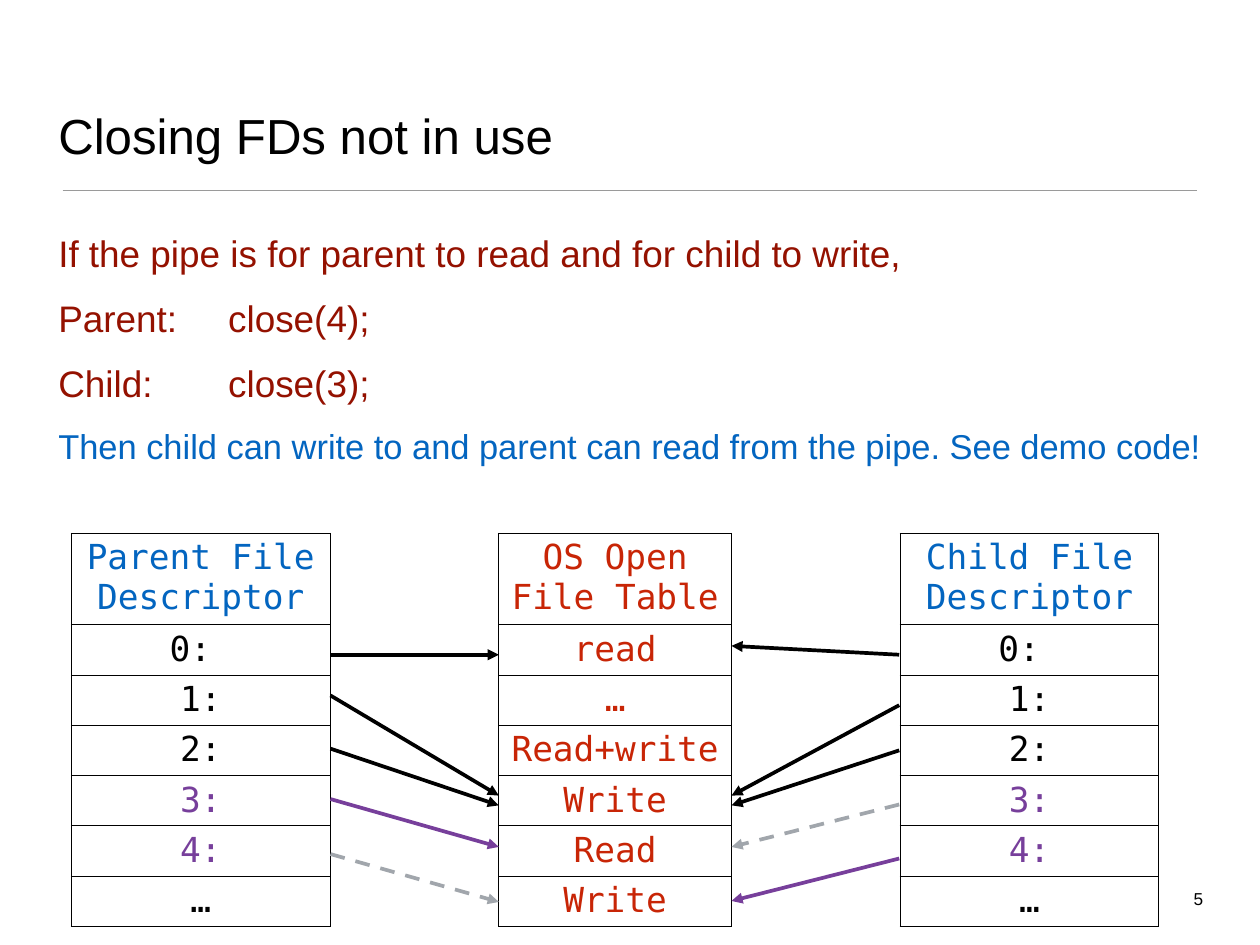
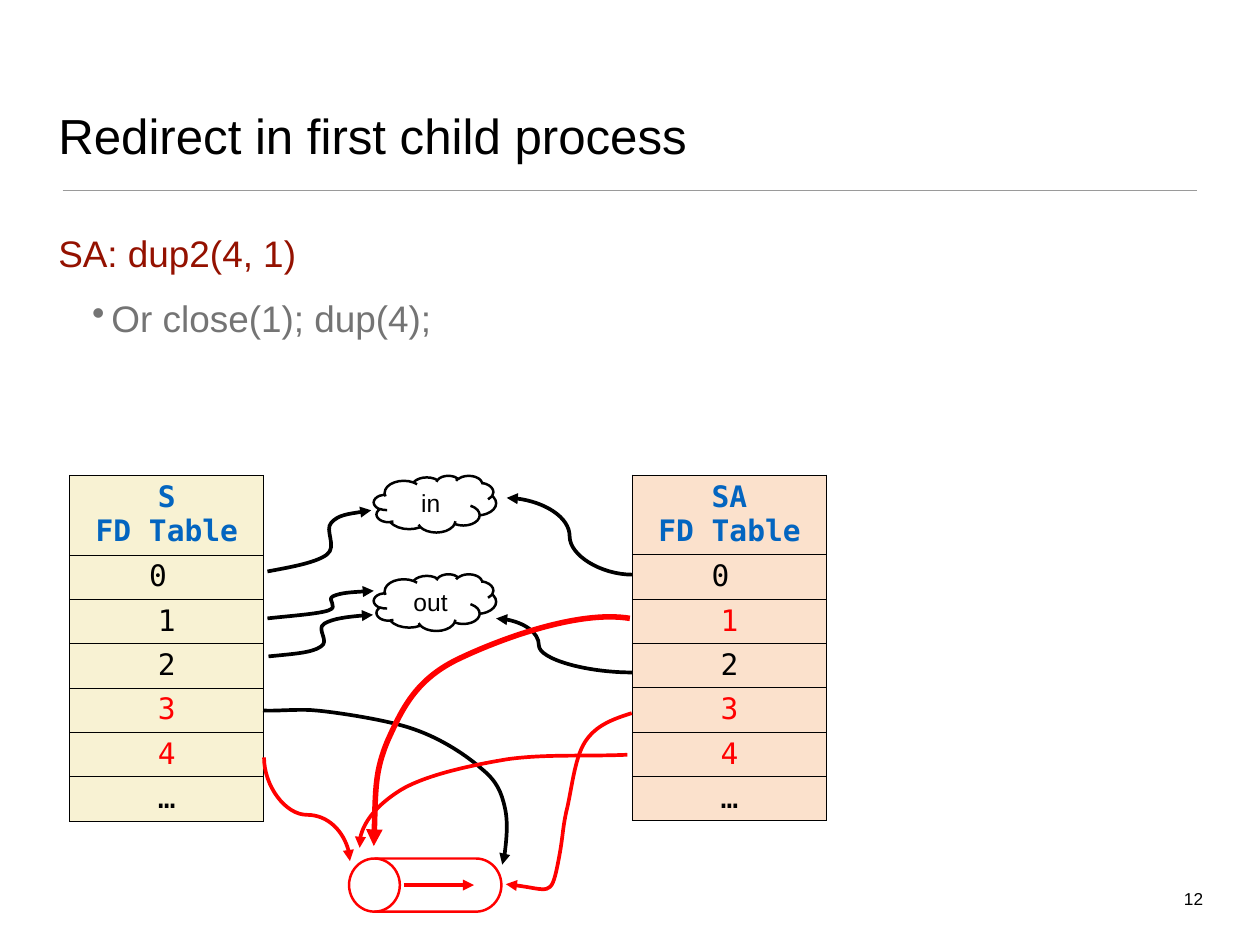
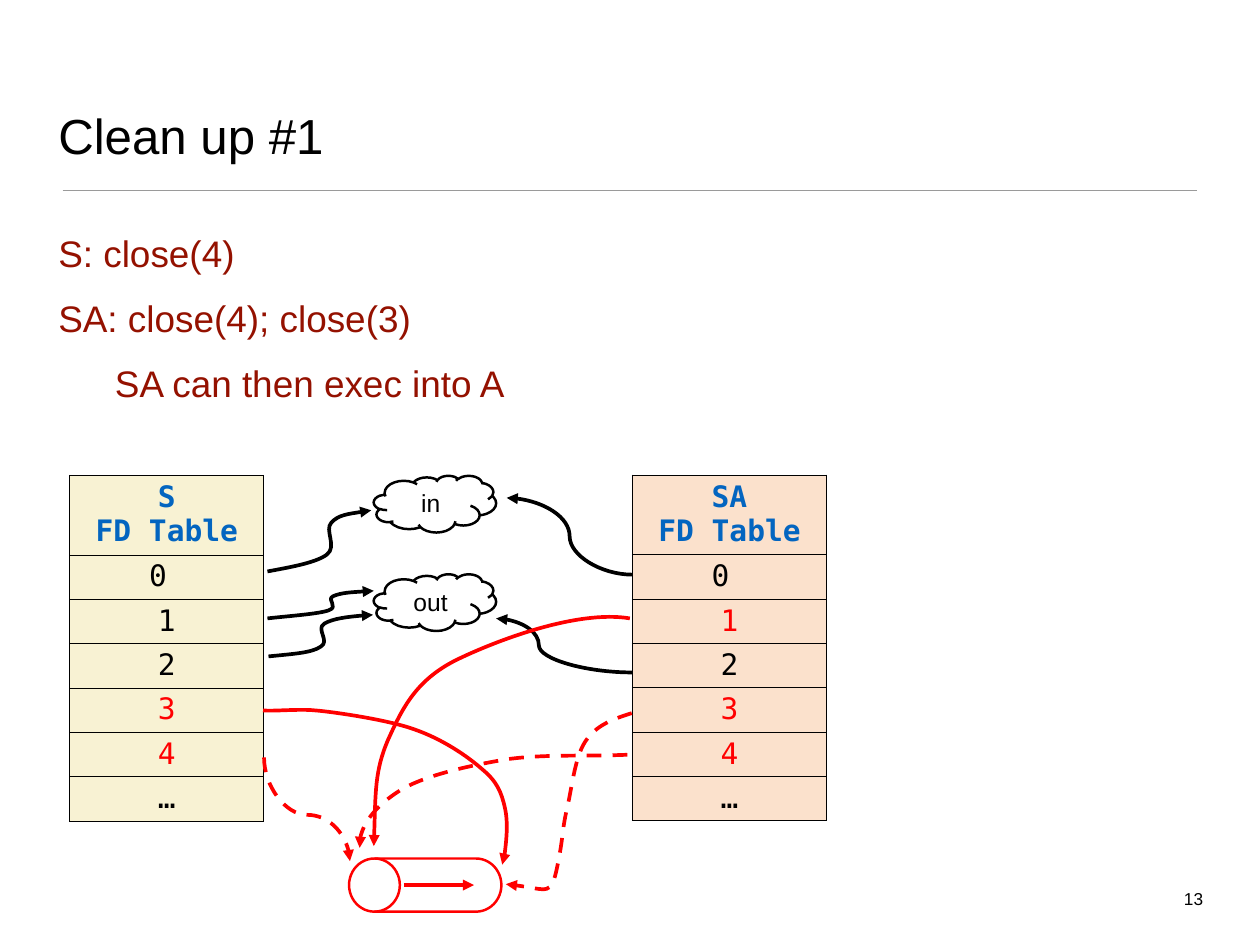
from lxml.etree import SubElement
from pptx import Presentation
from pptx.dml.color import RGBColor
from pptx.enum.dml import MSO_LINE
from pptx.enum.shapes import MSO_CONNECTOR, MSO_SHAPE
from pptx.enum.text import MSO_ANCHOR, PP_ALIGN
from pptx.oxml.ns import qn
from pptx.util import Pt

BLACK = RGBColor(0x00, 0x00, 0x00)
RED = RGBColor(0xFF, 0x00, 0x00)
MAROON = RGBColor(0x94, 0x11, 0x00)
BRICK = RGBColor(0xC8, 0x25, 0x06)
BLUE = RGBColor(0x03, 0x65, 0xC0)
PURPLE = RGBColor(0x77, 0x3F, 0x9B)
DARK_GRAY = RGBColor(0x74, 0x74, 0x74)
RULE_GRAY = RGBColor(0x9A, 0x9A, 0x9A)
PALE_GRAY = RGBColor(0xA1, 0xA6, 0xAC)
CREAM = RGBColor(0xF8, 0xF2, 0xD3)
PEACH = RGBColor(0xFB, 0xE1, 0xCC)

SANS = "Arial"
MONO = "DejaVu Sans Mono"
MARGIN = 2.81
TAB = 46
ELLIPSIS = "\u2026"


def set_format(target, values):
    """Set each named attribute of the target."""
    for name, value in values.items():
        setattr(target, name, value)


class Deck:
    """Holds the shared style and the slide being built."""

    def __init__(self):
        """Start an empty presentation."""
        self.presentation = Presentation()
        set_format(self.presentation, {"slide_width": Pt(1024), "slide_height": Pt(768)})
        self.slide = None

    def start(self, title, number):
        """Add a slide with its title, rule and number."""
        self.slide = self.presentation.slides.add_slide(self.presentation.slide_layouts[6])
        self.connector((51, 154.8), (972.8, 154.8), RULE_GRAY, 1, arrow=False)
        frame = self.text_box(44.6, 26, 935, 110, MSO_ANCHOR.BOTTOM)
        self.add_text(frame.paragraphs[0], title, 40)
        frame = self.text_box(958.3, 719.3, 22.3, 21.6)
        self.add_text(frame.paragraphs[0], str(number), 14, align=PP_ALIGN.RIGHT)

    def add_text(self, paragraph, text, size, color=BLACK, name=SANS, bold=False,
                 align=PP_ALIGN.LEFT):
        """Put one styled run into a paragraph."""
        paragraph.alignment = align
        run = paragraph.add_run()
        run.text = text
        set_format(run.font, {"size": Pt(size), "name": name, "bold": bold})
        run.font.color.rgb = color

    def set_frame(self, frame, anchor):
        """Apply the shared insets, wrapping and anchor."""
        sides = ("left", "right", "top", "bottom")
        set_format(frame, {f"margin_{side}": Pt(MARGIN) for side in sides})
        set_format(frame, {"word_wrap": True, "vertical_anchor": anchor})

    def text_box(self, left, top, width, height, anchor=MSO_ANCHOR.TOP):
        """Add a text box and return its frame."""
        box = self.slide.shapes.add_textbox(Pt(left), Pt(top), Pt(width), Pt(height))
        self.set_frame(box.text_frame, anchor)
        return box.text_frame

    def body(self, lines):
        """Fill the body from (text, size, color, bulleted) lines."""
        frame = self.text_box(44.6, 182.9, 935, 517)
        for index, (text, size, color, bulleted) in enumerate(lines):
            paragraph = frame.add_paragraph() if index else frame.paragraphs[0]
            self.add_text(paragraph, text, size, color)
            set_format(paragraph, {"space_before": Pt(15), "line_spacing": 1.05})
            properties = paragraph._p.get_or_add_pPr()
            if bulleted:
                paragraph.level = 1
                properties.set("marL", str(Pt(43.2)))
                properties.set("indent", str(Pt(-15.8)))
                SubElement(properties, qn("a:buChar"), char="\u2022")
            else:
                stops = SubElement(properties, qn("a:tabLst"))
                for step in (1, 2, 3):
                    SubElement(stops, qn("a:tab"), pos=str(Pt(TAB * step)), algn="l")

    def table(self, left, top, width, heights, rows, size, fill=None, bold_head=False):
        """Add a one-column table from (text, color) rows."""
        head, rest = heights
        total = head + rest * (len(rows) - 1)
        table = self.slide.shapes.add_table(
            len(rows), 1, Pt(left), Pt(top), Pt(width), Pt(total)).table
        set_format(table, {"first_row": False, "horz_banding": False})
        for index, (text, color) in enumerate(rows):
            table.rows[index].height = Pt(rest if index else head)
            cell = table.cell(index, 0)
            self.border(cell)
            if fill is None:
                cell.fill.background()
            else:
                cell.fill.solid()
                cell.fill.fore_color.rgb = fill
            frame = cell.text_frame
            for order, line in enumerate(text.split("\n")):
                paragraph = frame.add_paragraph() if order else frame.paragraphs[0]
                self.add_text(paragraph, line, size, color, MONO,
                              bold_head and index == 0, PP_ALIGN.CENTER)

    def border(self, cell):
        """Draw a thin black line on each side of a cell."""
        properties = cell._tc.get_or_add_tcPr()
        for side in ("a:lnL", "a:lnR", "a:lnT", "a:lnB"):
            line = SubElement(properties, qn(side), w=str(Pt(1)))
            solid = SubElement(line, qn("a:solidFill"))
            SubElement(solid, qn("a:srgbClr"), val=str(BLACK))

    def stroke(self, shape, color, width, dashed=False, arrow=False):
        """Style the line of a shape or connector."""
        shape.line.color.rgb = color
        shape.line.width = Pt(width)
        if dashed:
            shape.line.dash_style = MSO_LINE.DASH
        if arrow:
            line = shape.element.spPr.find(qn("a:ln"))
            SubElement(line, qn("a:tailEnd"), type="triangle")

    def connector(self, begin, end, color=BLACK, width=3, dashed=False, arrow=True,
                  kind=MSO_CONNECTOR.STRAIGHT, turn=0, bend=None):
        """Add a connector, with an optional turn in degrees and bend in percent."""
        connector = self.slide.shapes.add_connector(
            kind, *(Pt(value) for value in (*begin, *end)))
        self.stroke(connector, color, width, dashed, arrow)
        properties = connector.element.spPr
        SubElement(properties, qn("a:effectLst"))
        if turn:
            properties.find(qn("a:xfrm")).set("rot", str(turn * 60000))
        if bend:
            geometry = properties.find(qn("a:prstGeom"))
            guides = geometry.find(qn("a:avLst"))
            if guides is None:
                guides = SubElement(geometry, qn("a:avLst"))
            SubElement(guides, qn("a:gd"), name="adj1", fmla=f"val {round(bend * 1000)}")

    def curve(self, points, color=BLACK, width=3, dashed=False):
        """Add an arrow of cubic curves: a start, then three points per curve."""
        start, *others = [(Pt(x), Pt(y)) for x, y in points]
        builder = self.slide.shapes.build_freeform(*start)
        builder.add_line_segments(others, close=False)
        shape = builder.convert_to_shape()
        segments = list(shape.element.iter(qn("a:lnTo")))
        for first in range(0, len(segments), 3):
            outline = segments[first].getparent()
            cubic = SubElement(outline, qn("a:cubicBezTo"))
            for segment in segments[first:first + 3]:
                cubic.append(segment[0])
                outline.remove(segment)
        shape.shadow.inherit = False
        shape.fill.background()
        self.stroke(shape, color, width, dashed, arrow=True)

    def preset(self, kind, left, top, width, height, color, text="", turn=0):
        """Add an unfilled preset shape with an optional label."""
        shape = self.slide.shapes.add_shape(kind, Pt(left), Pt(top), Pt(width), Pt(height))
        shape.shadow.inherit = False
        shape.rotation = turn
        shape.fill.background()
        self.stroke(shape, color, 2)
        if text:
            self.set_frame(shape.text_frame, MSO_ANCHOR.MIDDLE)
            self.add_text(shape.text_frame.paragraphs[0], text, 20, align=PP_ALIGN.CENTER)


STREAM_CURVES = [
    [(217.4, 464.4), (236.9, 460.8), (257, 457.2), (265.7, 450.7), (274.3, 444.2),
     (263.5, 430.6), (269.3, 424.8), (275, 418.3), (288.7, 416.9), (301.7, 414.7)],
    [(217.4, 502.6), (237.6, 500.4), (258.5, 499), (267.1, 496.1), (275.8, 493.2),
     (265, 487.4), (270.7, 484.6), (277.2, 481.7), (290.9, 481), (303.8, 480.2)],
    [(218.2, 533.5), (239, 531.4), (253.4, 530.6), (260.6, 525.6), (268.6, 521.3),
     (256.3, 511.2), (263.5, 506.9), (270.7, 502.6), (289.4, 500.4), (303.1, 499.7)],
]
S_READ_END = [
    (213.8, 577.4), (221.8, 578.2), (244.1, 576), (256.3, 577.4), (267.8, 578.2),
    (313.9, 584.6), (336.2, 592.6), (359.3, 600.5), (379.4, 614.2), (391.7, 625),
    (403.9, 635), (407.5, 643.7), (410.4, 656.6), (413.3, 669.6), (409.7, 705.6),
    (408.2, 702.7)]
SA_OUTPUT = [
    (511.9, 502.6), (469.4, 495.4), (403.2, 520.6), (370.8, 536.4), (337.7, 553),
    (326.9, 576), (315.4, 601.2), (304.6, 626.4), (305.3, 645.8), (303.8, 687.6)]
SA_READ_END = [
    (513.4, 579.6), (497.5, 584.6), (483.8, 589.7), (475.2, 603.4), (466.6, 617),
    (464.4, 643.7), (460.1, 660.2), (456.5, 677.5), (457.9, 679.7), (452.9, 704.2),
    (447.8, 728.6), (445.7, 722.2), (411.1, 718.6)]
SA_WRITE_END = [
    (509.8, 613.4), (477.4, 614.9), (443.5, 612.7), (412.6, 617), (381.6, 622.1),
    (345.6, 630), (325.4, 642.2), (306, 654.5), (290.2, 673.9), (292.3, 689)]


def descriptor_rows(head, suffix, colors):
    """List the rows of a file descriptor table."""
    labels = [f"{number}{suffix}" for number in range(5)]
    labels[0] += " "
    return [(head, BLUE), *zip(labels, colors), (ELLIPSIS, BLACK)]


def draw_file_tables(deck):
    """Draw parent, system and child tables with their arrows."""
    colors = [BLACK] * 3 + [PURPLE] * 2
    heights = (72.4, 39.8)
    for owner, left in (("Parent", 58), ("Child", 731.5)):
        rows = descriptor_rows(f"{owner} File Descriptor", ":", colors)
        deck.table(left, 433.4, 210.3, heights, rows, 28)
    entries = ["OS Open\nFile Table", "read", ELLIPSIS, "Read+write", "Write", "Read", "Write"]
    deck.table(405.2, 433.4, 189.4, heights, [(entry, BRICK) for entry in entries], 28)

    parent_arrows = [(532.1, 532.1, BLACK), (565.2, 646.6, BLACK), (608.4, 654.5, BLACK),
                     (649.4, 688.3, PURPLE), (694.1, 733, PALE_GRAY)]
    child_arrows = [(532.1, 524.9, BLACK), (573.1, 646.6, BLACK), (609.8, 654.5, BLACK),
                    (653.8, 688.3, PALE_GRAY), (697.7, 732.2, PURPLE)]
    for begin, end, arrows in ((268.6, 405.4, parent_arrows), (730.8, 594.5, child_arrows)):
        for begin_top, end_top, color in arrows:
            deck.connector((begin, begin_top), (end, end_top), color,
                           dashed=color == PALE_GRAY)


def draw_pipe(deck, s_read_color, output_width, closed):
    """Draw both descriptor tables, the streams and the pipe."""
    deck.table(56.7, 386.3, 157.7, (63.8, 35.2),
               descriptor_rows("S\nFD Table", "", [BLACK] * 3 + [RED] * 2),
               24, CREAM, bold_head=True)
    deck.table(514, 386.2, 157.7, (64.6, 36),
               descriptor_rows("SA\nFD Table", "", [BLACK, RED, BLACK, RED, RED]),
               24, PEACH, bold_head=True)
    for text, top in (("in", 386.6), ("out", 466.6)):
        deck.preset(MSO_SHAPE.CLOUD, 303.8, top, 99.4, 46.1, BLACK, text)
    for points in STREAM_CURVES:
        deck.curve(points)
    curved = MSO_CONNECTOR.CURVE
    deck.connector((403.2, 502.6), (513.8, 546.5), kind=curved, turn=180, bend=68.6)
    deck.connector((411.8, 404.6), (514, 467), kind=curved, turn=180)

    deck.preset(MSO_SHAPE.FLOWCHART_MAGNETIC_DISK, 324, 657.4, 43.2, 123.8, RED, turn=270)
    deck.connector((328.3, 719.3), (385.2, 719.3), RED)
    deck.curve(S_READ_END, s_read_color)
    deck.connector((291.6, 622.8), (207.4, 692.6), RED, dashed=closed,
                   kind=curved, turn=270, bend=55.4)
    deck.curve(SA_OUTPUT, RED, output_width)
    for points in (SA_READ_END, SA_WRITE_END):
        deck.curve(points, RED, dashed=closed)


deck = Deck()

deck.start("Closing FDs not in use", 5)
deck.body([
    ("If the pipe is for parent to read and for child to write,", 30, MAROON, False),
    ("Parent: \tclose(4);", 30, MAROON, False),
    ("Child: \t\tclose(3);", 30, MAROON, False),
    ("Then child can write to and parent can read from the pipe. See demo code!",
     28, BLUE, False),
])
draw_file_tables(deck)

deck.start("Redirect in first child process", 12)
deck.body([
    ("SA: dup2(4, 1)", 30, MAROON, False),
    ("Or close(1); dup(4);", 30, DARK_GRAY, True),
])
draw_pipe(deck, s_read_color=BLACK, output_width=4.5, closed=False)

deck.start("Clean up #1", 13)
deck.body([
    ("S: close(4)", 30, MAROON, False),
    ("SA: close(4); close(3)", 30, MAROON, False),
    ("\tSA can then exec into A", 30, MAROON, False),
])
draw_pipe(deck, s_read_color=RED, output_width=3, closed=True)

deck.presentation.save("out.pptx")
